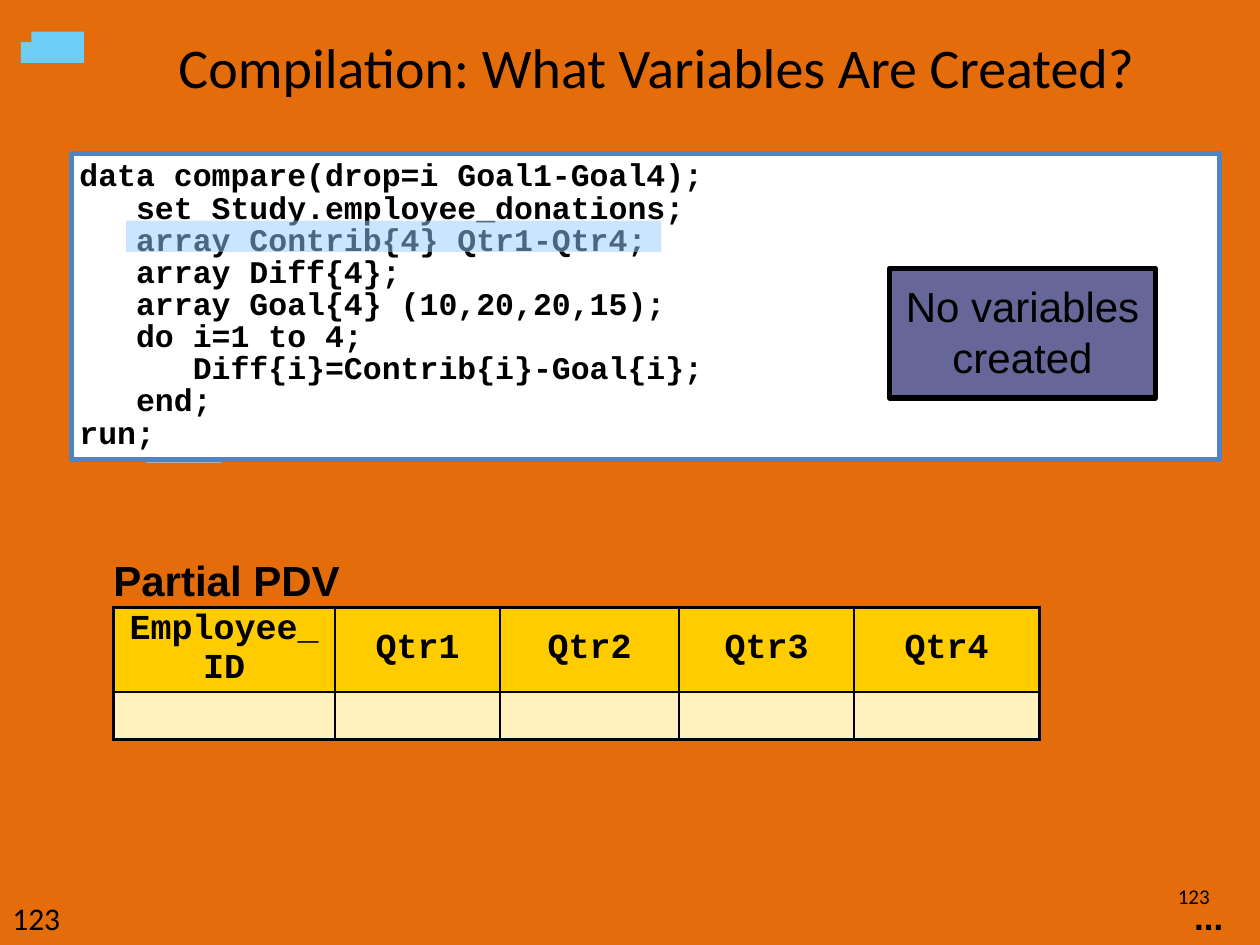
from lxml.etree import SubElement
from pptx import Presentation
from pptx.dml.color import RGBColor
from pptx.enum.shapes import MSO_SHAPE
from pptx.enum.text import MSO_ANCHOR as ANCHOR, PP_ALIGN as ALIGN
from pptx.oxml import parse_xml
from pptx.oxml.ns import nsdecls, qn
from pptx.util import Inches, Pt

THEME = {
    "back": "E46C0A", "ink": "000000", "accent": "6DCFF6", "accent_line": "B9AFA4",
    "code_fill": "FFFFFF", "code_line": "4E84C4", "highlight": "99CCFF",
    "callout": "666699", "head": "FFCC00", "body": "FFF2BE",
    "title_font": "Calibri", "text_font": "Arial", "code_font": "Courier New",
    "title": 32, "label": 24, "cell": 20, "code": 18, "page": 18, "small_page": 12,
}
COLS, ROWS = 120, 90  # the slide as a grid of twelfths of an inch


def write(tf, lines, font, size, bold=False, align=ALIGN.LEFT, margin=None, spacing=None):
    """Fill a text frame or cell frame with one paragraph per line, all alike."""
    if margin is not None:
        tf.margin_left = tf.margin_right = tf.margin_top = tf.margin_bottom = margin
    for i, line in enumerate(lines):
        p = tf.paragraphs[0] if i == 0 else tf.add_paragraph()
        p.text = line
        p.alignment = align
        p.line_spacing = spacing
        p.space_before = Pt(0)
        p.font.name, p.font.size, p.font.bold = THEME[font], Pt(THEME[size]), bold
        p.font.color.rgb = RGBColor.from_string(THEME["ink"])


def add_box(grid, fill, line=None, width=1):
    """Add a flat rectangle at (column, row, columns, rows)."""
    sp = s.shapes.add_shape(MSO_SHAPE.RECTANGLE, *(int(n * unit) for n in grid))
    sp.shadow.inherit = False
    sp.fill.solid()
    sp.fill.fore_color.rgb = RGBColor.from_string(THEME[fill])
    if line:
        sp.line.color.rgb = RGBColor.from_string(THEME[line])
        sp.line.width = Pt(width)
    else:
        sp.line.fill.background()
    return sp


prs = Presentation()
prs.slide_width, prs.slide_height = Inches(10), Inches(7.5)
unit = prs.slide_width / COLS
s = prs.slides.add_slide(prs.slide_layouts[5])
s.background.fill.solid()
s.background.fill.fore_color.rgb = RGBColor.from_string(THEME["back"])

# Corner ornament and the small block behind the code
add_box((3, 3, 5, 3), "accent")
add_box((2, 4, 2, 2), "accent")
add_box((14, 39, 7, 5), "accent", "accent_line")

# Title
title = s.shapes.title
title.left, title.top, title.width, title.height = (int(n * unit) for n in (17, 3, 111, 9))
title.text_frame.vertical_anchor = ANCHOR.TOP
write(title.text_frame, ["Compilation: What Variables Are Created?"],
      "title_font", "title", margin=0, spacing=Pt(39))

# Page numbers and continuation mark
for grid, text, font, size, bold, align, anchor, wrap in (
    ((107.64, 83, 8.76, 4.7), "123", "title_font", "small_page", False, ALIGN.RIGHT, ANCHOR.MIDDLE, True),
    ((0, 85, 7, 5), "123", "title_font", "page", False, ALIGN.LEFT, ANCHOR.TOP, True),
    ((112.56, 84.7, 5.16, 5.3), "...", "text_font", "cell", True, ALIGN.LEFT, ANCHOR.TOP, False),
):
    tf = s.shapes.add_textbox(*(int(n * unit) for n in grid)).text_frame
    tf.word_wrap = wrap
    tf.vertical_anchor = anchor
    write(tf, [text], font, size, bold, align)

# Code
code = add_box((6.84, 14.64, 109.32, 29.16), "code_fill", "code_line", 3)
code.text_frame.vertical_anchor = ANCHOR.TOP
write(code.text_frame, [
    "data compare(drop=i Goal1-Goal4);",
    "   set Study.employee_donations;",
    "   array Contrib{4} Qtr1-Qtr4;",
    "   array Diff{4};",
    "   array Goal{4} (10,20,20,15);",
    "   do i=1 to 4;",
    "      Diff{i}=Contrib{i}-Goal{i};",
    "   end;",
    "run;",
], "code_font", "code", True, margin=Inches(0.06), spacing=0.85)

# Partial PDV table: caption row, header row, empty row
names = ["Employee_ID", "Qtr1", "Qtr2", "Qtr3", "Qtr4"]
col_widths = [1.76, 1.31, 1.42, 1.39, 1.47]
row_heights = [0.4, 0.67, 0.38]
last_row, last_col = len(row_heights) - 1, len(names) - 1
frame = s.shapes.add_table(len(row_heights), len(names), int(10.8 * unit), int(53.04 * unit),
                           Inches(sum(col_widths)), Inches(sum(row_heights)))
table = frame.table
table.first_row = table.horz_banding = False
for column, width in zip(table.columns, col_widths):
    column.width = Inches(width)
for row, height in zip(table.rows, row_heights):
    row.height = Inches(height)
table.cell(0, 0).merge(table.cell(0, last_col))

thin, thick = 1, 2.25
for r in range(last_row + 1):
    for c in range(last_col + 1):
        cell = table.cell(r, c)
        cell.vertical_anchor = ANCHOR.MIDDLE
        cell.margin_left = cell.margin_right = Inches(0.1 if r else 0)
        cell.margin_top = cell.margin_bottom = 0
        if r == 0:
            cell.fill.background()
            borders = {"L": 0, "R": 0, "T": 0, "B": thick}
            if c == 0:
                write(cell.text_frame, ["Partial PDV"], "text_font", "label", True)
        else:
            cell.fill.solid()
            cell.fill.fore_color.rgb = RGBColor.from_string(THEME["head" if r == 1 else "body"])
            borders = {"L": thin if c else thick, "R": thick if c == last_col else thin,
                       "T": thick if r == 1 else thin, "B": thick if r == last_row else thin}
            if r == 1:
                write(cell.text_frame, [names[c]], "code_font", "cell", True, ALIGN.CENTER)
        tcPr = cell._tc.get_or_add_tcPr()
        for i, (side, width) in enumerate(borders.items()):
            ln = parse_xml(f'<a:ln{side} {nsdecls("a")} w="{Pt(width)}"/>')
            if width:
                SubElement(SubElement(ln, qn("a:solidFill")), qn("a:srgbClr"), val=THEME["ink"])
            else:
                SubElement(ln, qn("a:noFill"))
            tcPr.insert(i, ln)

# Translucent highlight over the array statement
highlight = add_box((12, 21, 51, 3), "highlight")
color = highlight._element.spPr.find(qn("a:solidFill")).find(qn("a:srgbClr"))
SubElement(color, qn("a:alpha"), val="50000")

# Callout
callout = add_box((84.72, 25.56, 25.32, 12.36), "callout", "ink", 3)
callout.text_frame.vertical_anchor = ANCHOR.TOP
write(callout.text_frame, ["No variables", "created"], "text_font", "label",
      align=ALIGN.CENTER, margin=Inches(0.1))

prs.save("out.pptx")
